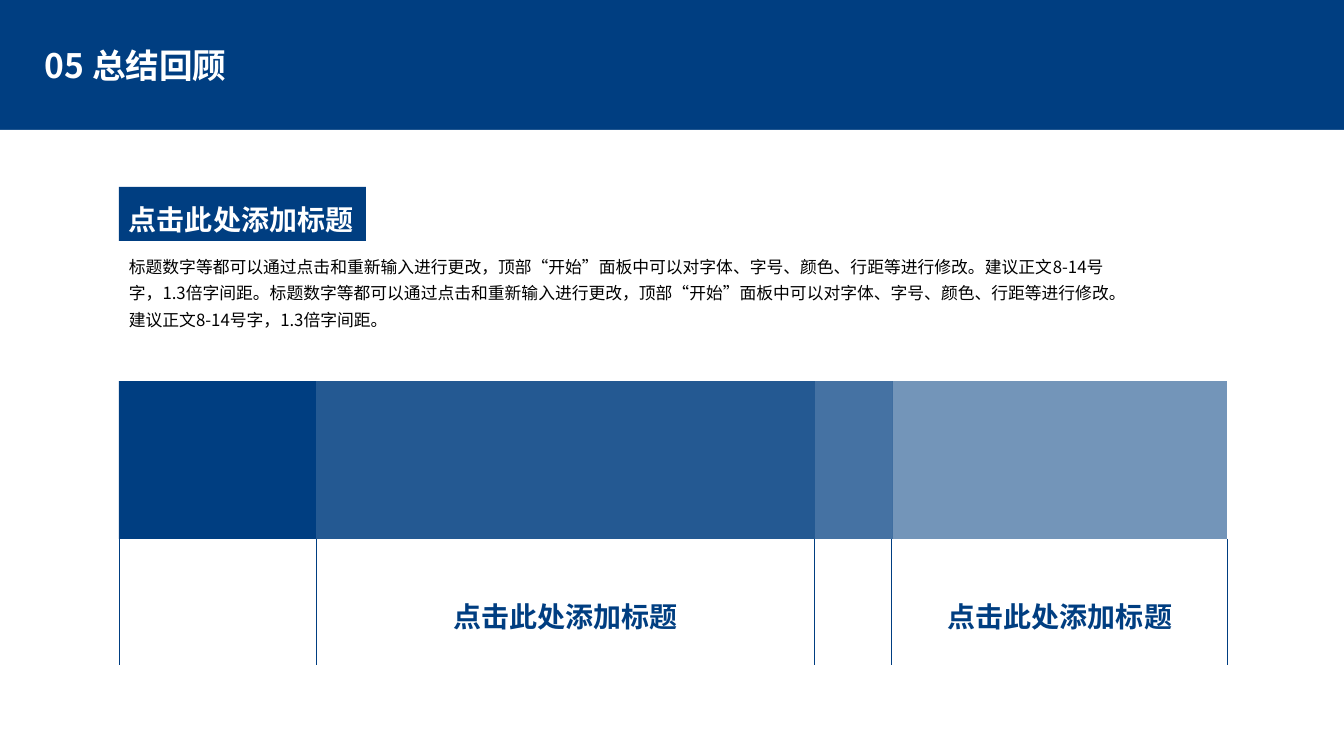
from lxml.etree import SubElement
from pptx import Presentation
from pptx.dml.color import RGBColor
from pptx.enum.shapes import MSO_CONNECTOR, MSO_SHAPE
from pptx.enum.text import MSO_ANCHOR, PP_ALIGN
from pptx.oxml.ns import qn
from pptx.util import Emu, Pt

NAVY, WHITE, BLACK = "003E81", "FFFFFF", "000000"
FONT = "Noto Sans CJK SC"

SECTION_TITLE = "05 总结回顾"
HEADING = "点击此处添加标题"
ADVICE = (
    "标题数字等都可以通过点击和重新输入进行更改，顶部“开始”面板中可以对字体、字号、颜色、行距等进行修改。"
    "建议正文8-14号字，1.3倍字间距。"
)
BODY = ADVICE * 2

# width, opacity in percent, heading
SEGMENTS = [
    (197, 100, None),
    (499, 86, HEADING),
    (78, 73, None),
    (334, 55, HEADING),
]
DIVIDERS = [119, 316, 814, 891, 1227]

SLIDE_W, SLIDE_H = 1344, 756
BANNER_H = 130
LEFT = 119
BAR_TOP, BAR_H = 381, 158
DIVIDER_H = 126
HEADING_TOP, HEADING_W, HEADING_H = 584, 247, 50


def px(length):
    return Emu(round(length * 914400 / 100.8))


def colour(hex_code):
    return RGBColor.from_string(hex_code)


def add_block(slide, left, top, width, height, fill, opacity=100):
    block = slide.shapes.add_shape(
        MSO_SHAPE.RECTANGLE, px(left), px(top), px(width), px(height))
    block.shadow.inherit = False
    block.fill.solid()
    block.fill.fore_color.rgb = colour(fill)
    block.line.fill.background()
    if opacity < 100:
        srgb = block.fill._xPr.find(".//" + qn("a:srgbClr"))
        SubElement(srgb, qn("a:alpha"), val=str(opacity * 1000))
    return block


def add_text_box(slide, left, top, width, height):
    return slide.shapes.add_textbox(px(left), px(top), px(width), px(height))


def write(shape, text, size, ink, bold=False, wrap=True, spacing=1.3,
          align=PP_ALIGN.LEFT, anchor=MSO_ANCHOR.TOP):
    frame = shape.text_frame
    frame.text = text
    frame.word_wrap = wrap
    frame.vertical_anchor = anchor
    paragraph = frame.paragraphs[0]
    paragraph.alignment = align
    paragraph.line_spacing = spacing
    font = paragraph.runs[0].font
    font.size, font.bold, font.name = Pt(size), bold, FONT
    font.color.rgb = colour(ink)
    SubElement(font._element, qn("a:ea"), typeface=FONT)


def add_divider(slide, x):
    top = BAR_TOP + BAR_H
    divider = slide.shapes.add_connector(
        MSO_CONNECTOR.STRAIGHT, px(x), px(top), px(x), px(top + DIVIDER_H))
    divider.line.color.rgb = colour(NAVY)
    divider.line.width = Pt(0.5)
    SubElement(divider._element.spPr, qn("a:effectLst"))


def main():
    deck = Presentation()
    deck.slide_width, deck.slide_height = px(SLIDE_W), px(SLIDE_H)
    slide = deck.slides.add_slide(deck.slide_layouts[6])
    slide.background.fill.solid()
    slide.background.fill.fore_color.rgb = colour(NAVY)

    add_block(slide, 0, BANNER_H, SLIDE_W, SLIDE_H - BANNER_H, WHITE)
    write(add_text_box(slide, 35, 28, 585, 80), SECTION_TITLE, 24, WHITE,
          bold=True, spacing=0.9, anchor=MSO_ANCHOR.MIDDLE)
    write(add_text_box(slide, LEFT, 246, 1006, 90), BODY, 12, BLACK)
    write(add_block(slide, LEFT, 187, HEADING_W, 54, NAVY), HEADING, 20, WHITE,
          bold=True, wrap=False)

    left = LEFT
    for width, opacity, heading in SEGMENTS:
        add_block(slide, left, BAR_TOP, width, BAR_H, NAVY, opacity)
        if heading:
            box = add_text_box(slide, left + (width - HEADING_W) / 2,
                               HEADING_TOP, HEADING_W, HEADING_H)
            write(box, heading, 20, NAVY, bold=True, wrap=False,
                  align=PP_ALIGN.CENTER)
        left += width

    for x in DIVIDERS:
        add_divider(slide, x)

    deck.save("out.pptx")


if __name__ == "__main__":
    main()
